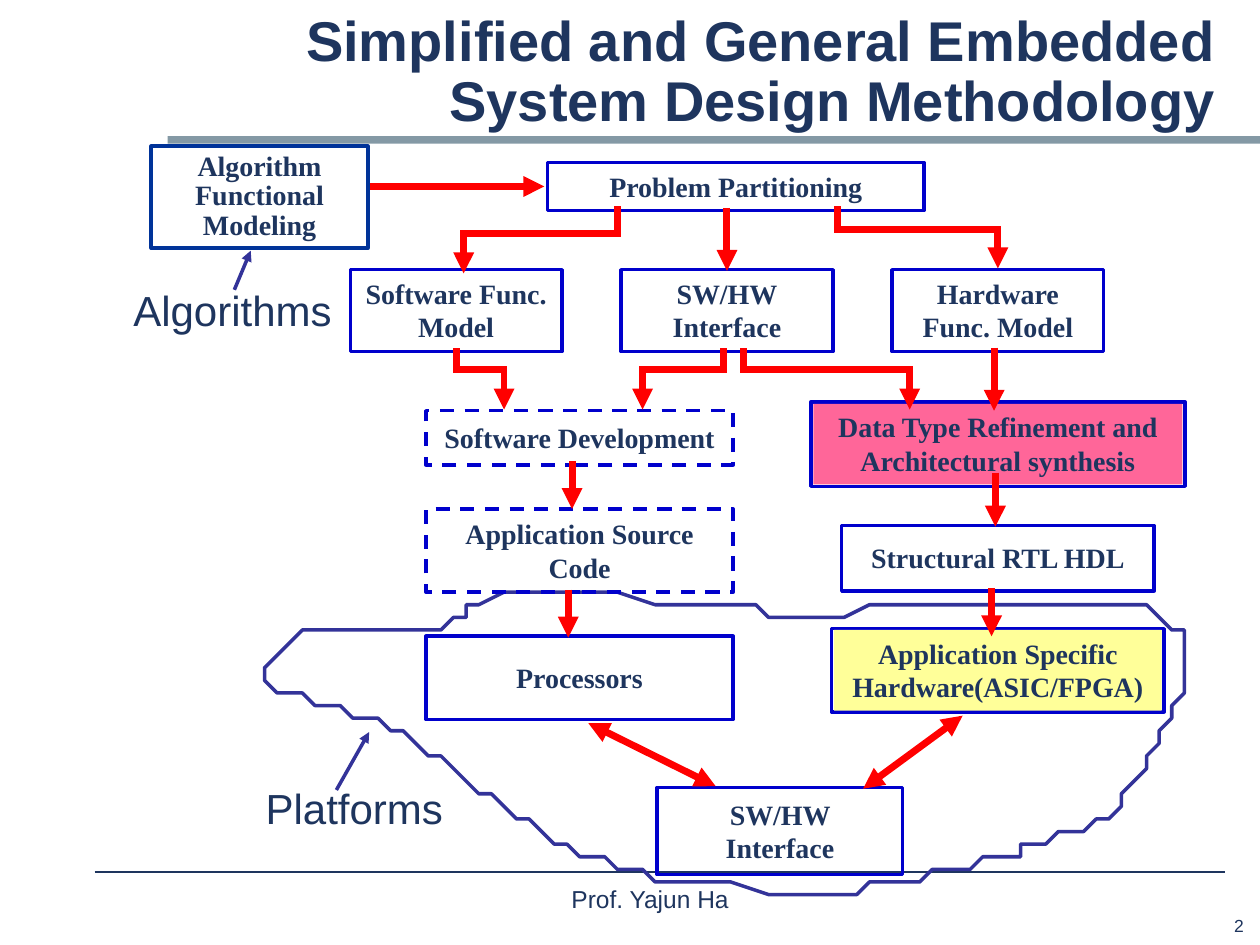
import pptx
import pptx.dml.color
import pptx.enum.dml
import pptx.enum.shapes
import pptx.enum.text
import pptx.oxml.ns
import pptx.util
from lxml import etree

# The slide is a grid of 100 columns by 75 rows; all lengths are in cells.
CELL = pptx.util.Inches(0.1)
NAVY, BLUE, INDIGO, RED, WHITE = "1E355E", "0000CC", "333399", "FF0000", "FFFFFF"
SERIF, SANS = "Times New Roman", "Arial"
ALIGN = pptx.enum.text.PP_ALIGN
ANCHOR = pptx.enum.text.MSO_ANCHOR

SOFTWARE_X, INTERFACE_X, HARDWARE_X = 46, 57.7, 79.2
LABEL_HEIGHTS = {1: 3.7, 2: 6.4}

# Corners of the platform outline, clockwise from its left tip.
PLATFORM_POINTS = [
    (21, 53.7), (25, 50), (35, 49.7), (40, 47.3), (58, 48.1), (63, 49), (73, 48),
    (91, 48.4), (93.9, 53), (92, 59), (88, 64.8), (83, 66.7), (78, 68.3), (72, 69.8),
    (65, 70.8), (52, 69.7), (46, 67.6), (40, 64), (34, 59.7), (30, 57.3), (24, 55.3),
]


def cells(values):
    return [round(value * CELL) for value in values]


def rgb(color):
    return pptx.dml.color.RGBColor.from_string(color)


def write(shape, text, font=SERIF, size=16, bold=False, align=ALIGN.CENTER,
          anchor=ANCHOR.TOP, spacing=None, wrap=True):
    frame = shape.text_frame
    frame.auto_size = pptx.enum.text.MSO_AUTO_SIZE.NONE
    frame.word_wrap = wrap
    frame.vertical_anchor = anchor
    frame.text = text
    for paragraph in frame.paragraphs:
        paragraph.alignment = align
        paragraph.line_spacing = spacing
        paragraph.font.name = font
        paragraph.font.size = pptx.util.Pt(size)
        paragraph.font.bold = bold
        paragraph.font.color.rgb = rgb(NAVY)


def add_text(slide, box, text, **formatting):
    shape = slide.shapes.add_textbox(*cells(box))
    write(shape, text, **formatting)
    return shape


def style(shape, fill=None, line=None, dashed=False):
    shape.shadow.inherit = False
    if fill:
        shape.fill.solid()
        shape.fill.fore_color.rgb = rgb(fill)
    else:
        shape.fill.background()
    if line:
        shape.line.color.rgb = rgb(line)
        shape.line.width = pptx.util.Pt(2)
        if dashed:
            shape.line.dash_style = pptx.enum.dml.MSO_LINE.DASH
    else:
        shape.line.fill.background()


def add_box(slide, box, **look):
    shape = slide.shapes.add_shape(pptx.enum.shapes.MSO_SHAPE.RECTANGLE, *cells(box))
    style(shape, **look)
    return shape


def add_node(slide, center, top, width, height, text, lines=1, fill=None,
             dashed=False, at_top=False):
    """Draw a frame and, inside it, a label sized for its number of lines."""
    left = center - width / 2
    add_box(slide, (left, top, width, height), line=BLUE, dashed=dashed)
    label_height = LABEL_HEIGHTS[lines]
    offset = 0.3 if at_top else (height - label_height) / 2
    label = add_text(slide, (left + 0.2, top + offset, width - 0.4, label_height),
                     text, bold=True)
    if fill:
        label.fill.solid()
        label.fill.fore_color.rgb = rgb(fill)


def add_line(slide, start, end, color=RED, width=4, heads=(), cap="flat"):
    """Draw a line; heads names its arrow ends, headEnd before tailEnd."""
    connector = slide.shapes.add_connector(
        pptx.enum.shapes.MSO_CONNECTOR.STRAIGHT, *cells(start + end))
    connector.line.color.rgb = rgb(color)
    connector.line.width = pptx.util.Pt(width)
    outline = connector.line._get_or_add_ln()
    outline.set("cap", cap)
    for head in heads:
        etree.SubElement(outline, pptx.oxml.ns.qn("a:" + head), type="triangle")
    etree.SubElement(connector._element.spPr, pptx.oxml.ns.qn("a:effectLst"))


def add_elbow(slide, x, top, turn, end_x, bottom):
    """Go down, sideways and down again to an arrowhead."""
    add_line(slide, (x, top), (x, turn), cap="sq")
    add_line(slide, (x, turn), (end_x, turn), cap="sq")
    add_line(slide, (end_x, turn), (end_x, bottom), heads=["tailEnd"])


def smooth_loop(points, steps=6):
    """Sample a closed Catmull-Rom curve through the points."""
    count = len(points)
    for index in range(count):
        corners = [points[(index + shift) % count] for shift in (-1, 0, 1, 2)]
        for step in range(1, steps + 1):
            t = step / steps
            yield tuple(b + t / 2 * (c - a + t * (2 * a - 5 * b + 4 * c - d
                                                  + t * (3 * b - a - 3 * c + d)))
                        for a, b, c, d in zip(*corners))


def add_platform_outline(slide):
    builder = slide.shapes.build_freeform(*PLATFORM_POINTS[0], scale=CELL)
    builder.add_line_segments(smooth_loop(PLATFORM_POINTS), close=True)
    style(builder.convert_to_shape(), line=INDIGO)


def add_title(slide, box, text):
    title = slide.shapes.title
    title.left, title.top, title.width, title.height = cells(box)
    write(title, text, font=SANS, size=32, bold=True, align=ALIGN.RIGHT,
          anchor=ANCHOR.MIDDLE, spacing=0.88)


def add_callout(slide, box, text, start, end):
    add_text(slide, box, text, font=SANS, size=24, align=ALIGN.LEFT, spacing=0.88, wrap=False)
    add_line(slide, start, end, INDIGO, 2, ["tailEnd"])


def add_nodes(slide):
    add_node(slide, 61.9, 62.5, 19.5, 6.9, "SW/HW Interface", fill=WHITE, at_top=True)
    add_node(slide, 58.4, 12.9, 29.9, 3.8, "Problem Partitioning")
    models = ["Software Func. Model", "SW/HW\nInterface", "Hardware Func. Model"]
    for column, text in enumerate(models):
        add_node(slide, 36.2 + 21.5 * column, 21.4, 16.8, 6.5, text, lines=2)
    add_node(slide, SOFTWARE_X, 32.6, 24.4, 4.3, "Software Development", dashed=True)
    add_node(slide, SOFTWARE_X, 40.4, 24.4, 6.6, "Application Source Code", lines=2, dashed=True)
    add_node(slide, SOFTWARE_X, 50.5, 24.4, 6.6, "Processors")
    add_node(slide, HARDWARE_X, 31.9, 29.7, 6.7,
             "Data Type Refinement and Architectural synthesis", lines=2, fill="FF6699")
    add_node(slide, HARDWARE_X, 41.7, 24.8, 5.2, "Structural RTL HDL")
    add_node(slide, HARDWARE_X, 49.9, 26.4, 6.6,
             "Application Specific\nHardware(ASIC/FPGA)", lines=2, fill="FFFF99")


def add_flows(slide):
    add_line(slide, (29.2, 14.8), (43.2, 14.8), heads=["tailEnd"])
    add_elbow(slide, 49, 16.6, 18.5, 36.8, 21.7)
    add_elbow(slide, 66.5, 16.6, 18.2, HARDWARE_X, 21.3)
    for x, end_x in ((36.2, 40), (57.4, 51), (59, 72.2)):
        add_elbow(slide, x, 27.9, 29.3, end_x, 32.5)
    for x, top, bottom in ((INTERFACE_X, 16.5, 21.5), (78.9, 27.6, 32.6),
                           (45.4, 36.6, 40.4), (79, 37.5, 41.8),
                           (78.7, 46.7, 50.5), (45.1, 46.8, 50.6)):
        add_line(slide, (x, top), (x, bottom), heads=["tailEnd"])
    for start, end in (((76.4, 56.8), (68.5, 62.6)), ((56.8, 62.4), (46.7, 57.4))):
        add_line(slide, start, end, heads=["headEnd", "tailEnd"])


def main():
    presentation = pptx.Presentation()
    presentation.slide_width, presentation.slide_height = 100 * CELL, 75 * CELL
    slide = presentation.slides.add_slide(presentation.slide_layouts[5])

    add_box(slide, (13.3, 10.8, 86.7, 0.6), fill="8499A5")
    add_line(slide, (7.5, 69.2), (97.2, 69.2), NAVY, 0.75)
    add_text(slide, (93.2, 72.1, 6.5, 2.6), "2", font=SANS, size=10, align=ALIGN.RIGHT)
    add_platform_outline(slide)
    add_title(slide, (9.7, 1.7, 87.8, 8.3),
              "Simplified and General Embedded System Design Methodology")
    add_nodes(slide)
    add_flows(slide)
    add_callout(slide, (20.1, 62.1, 16.1, 4.5), "Platforms", (26.7, 62.7), (29.3, 58.1))
    add_callout(slide, (9.6, 22.6, 17.7, 4.5), "Algorithms", (18.6, 23), (19.9, 19.9))
    modeling = add_box(slide, (12, 11.6, 17.2, 8.1), line="003399")
    write(modeling, "Algorithm Functional Modeling", bold=True, spacing=0.88)
    add_text(slide, (34.5, 69.7, 34.2, 4.2), "Prof. Yajun Ha", font=SANS, size=14)
    presentation.save("out.pptx")


if __name__ == "__main__":
    main()
